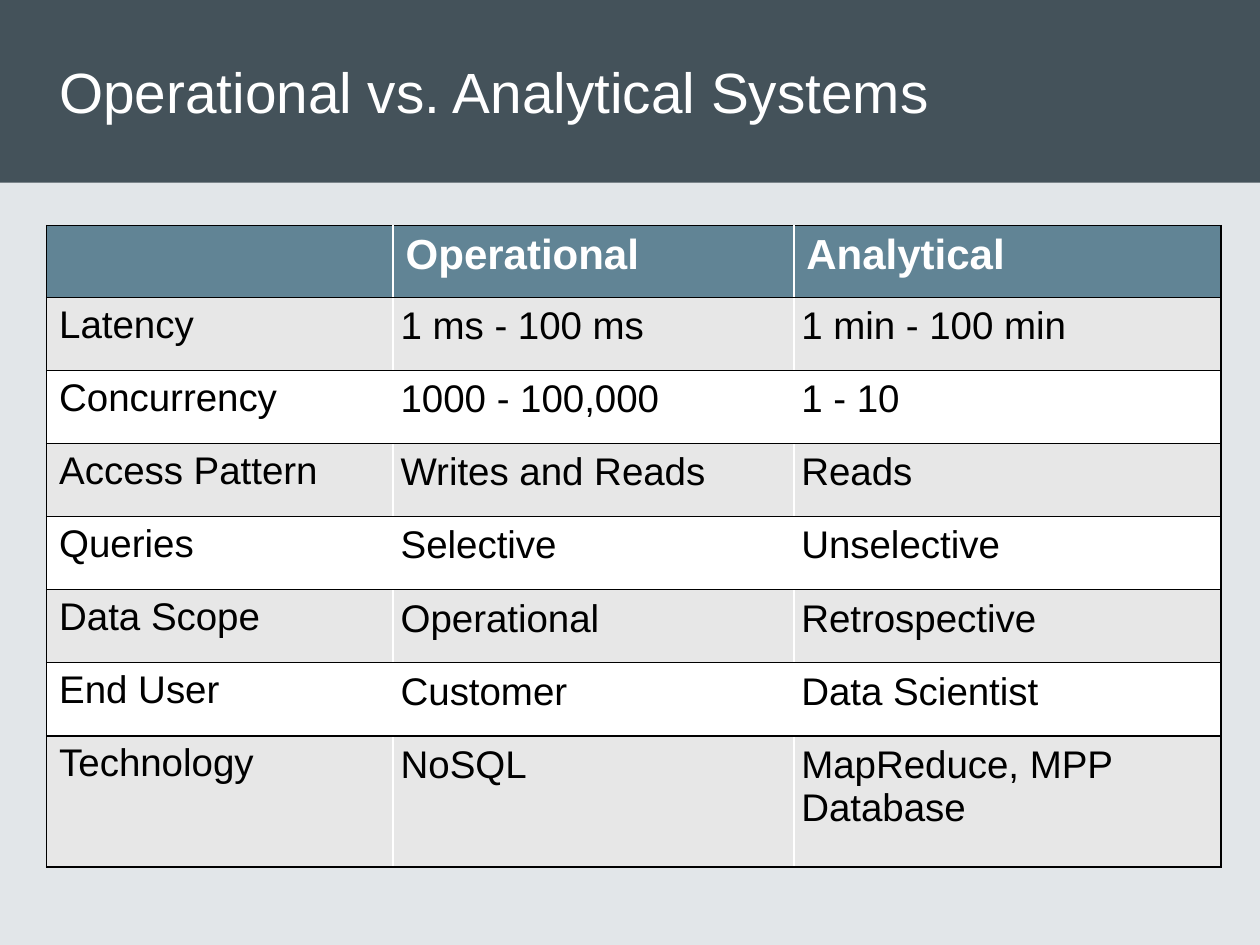
from lxml import etree
from pptx import Presentation
from pptx.dml.color import RGBColor
from pptx.enum.shapes import MSO_SHAPE
from pptx.enum.text import MSO_ANCHOR, PP_ALIGN
from pptx.oxml.ns import qn
from pptx.util import Inches, Pt

BACKGROUND = RGBColor(0xE2, 0xE6, 0xE9)
BAND = RGBColor(0x44, 0x52, 0x5A)
HEADER = RGBColor(0x61, 0x84, 0x95)
GREY = RGBColor(0xE7, 0xE7, 0xE7)
WHITE = RGBColor(0xFF, 0xFF, 0xFF)
BLACK = RGBColor(0, 0, 0)

COLUMN_WIDTHS = [2.75, 3.18, 3.39]
ROW_HEIGHTS = [0.57] + [0.58] * 6 + [1.04]
LEFT, TABLE_TOP, BAND_HEIGHT = Inches(0.37), Inches(1.79), Inches(1.45)
ROWS = [
    ("", "Operational", "Analytical"),
    ("Latency", "1 ms - 100 ms", "1 min - 100 min"),
    ("Concurrency", "1000 - 100,000", "1 - 10"),
    ("Access Pattern", "Writes and Reads", "Reads"),
    ("Queries", "Selective", "Unselective"),
    ("Data Scope", "Operational", "Retrospective"),
    ("End User", "Customer", "Data Scientist"),
    ("Technology", "NoSQL", "MapReduce, MPP Database"),
]


def add_text(para, text, size, color, bold=False):
    span = para.add_run()
    span.text = text
    span.font.name = "Arial"
    span.font.size = Pt(size)
    span.font.bold = bold
    span.font.color.rgb = color


def set_borders(cell, sides):
    properties = cell._tc.get_or_add_tcPr()
    for position, side in enumerate(sides):
        line = etree.Element(qn(f"a:ln{side}"), w=str(Pt(1)))
        fill = etree.SubElement(line, qn("a:solidFill"))
        etree.SubElement(fill, qn("a:srgbClr"), val=str(BLACK))
        properties.insert(position, line)


deck = Presentation()
deck.slide_width, deck.slide_height = Inches(10), Inches(7.5)
page = deck.slides.add_slide(deck.slide_layouts[5])
page.background.fill.solid()
page.background.fill.fore_color.rgb = BACKGROUND

# Title band, sent behind the title
band = page.shapes.add_shape(MSO_SHAPE.RECTANGLE, 0, 0, deck.slide_width, BAND_HEIGHT)
band.shadow.inherit = False
band.fill.solid()
band.fill.fore_color.rgb = BAND
band.line.fill.background()
page.shapes._spTree.insert(2, band._element)

# Title
title = page.shapes.title
title.left, title.top = LEFT, 0
title.width, title.height = Inches(9.17), BAND_HEIGHT
title.text_frame.word_wrap = True
title.text_frame.vertical_anchor = MSO_ANCHOR.MIDDLE
title_para = title.text_frame.paragraphs[0]
title_para.alignment = PP_ALIGN.LEFT
add_text(title_para, "Operational vs. Analytical Systems", 32.4, WHITE)

# Comparison table
table = page.shapes.add_table(
    len(ROWS), len(COLUMN_WIDTHS), LEFT, TABLE_TOP,
    Inches(sum(COLUMN_WIDTHS)), Inches(sum(ROW_HEIGHTS)),
).table
for column, width in zip(table.columns, COLUMN_WIDTHS):
    column.width = Inches(width)
for row, height in zip(table.rows, ROW_HEIGHTS):
    row.height = Inches(height)

for row_index, texts in enumerate(ROWS):
    is_header = row_index == 0
    row_fill = HEADER if is_header else (WHITE, GREY)[row_index % 2]
    for column_index, text in enumerate(texts):
        cell = table.cell(row_index, column_index)
        cell.fill.solid()
        cell.fill.fore_color.rgb = row_fill
        set_borders(cell, ("LTB", "TB", "RTB")[column_index])
        if column_index and not is_header:
            cell.margin_left = cell.margin_right = Inches(0.06)
            cell.margin_top = cell.margin_bottom = Inches(0.06)
        if text:
            size, color = (24, WHITE) if is_header else (22, BLACK)
            add_text(cell.text_frame.paragraphs[0], text, size, color, is_header)

deck.save("out.pptx")
